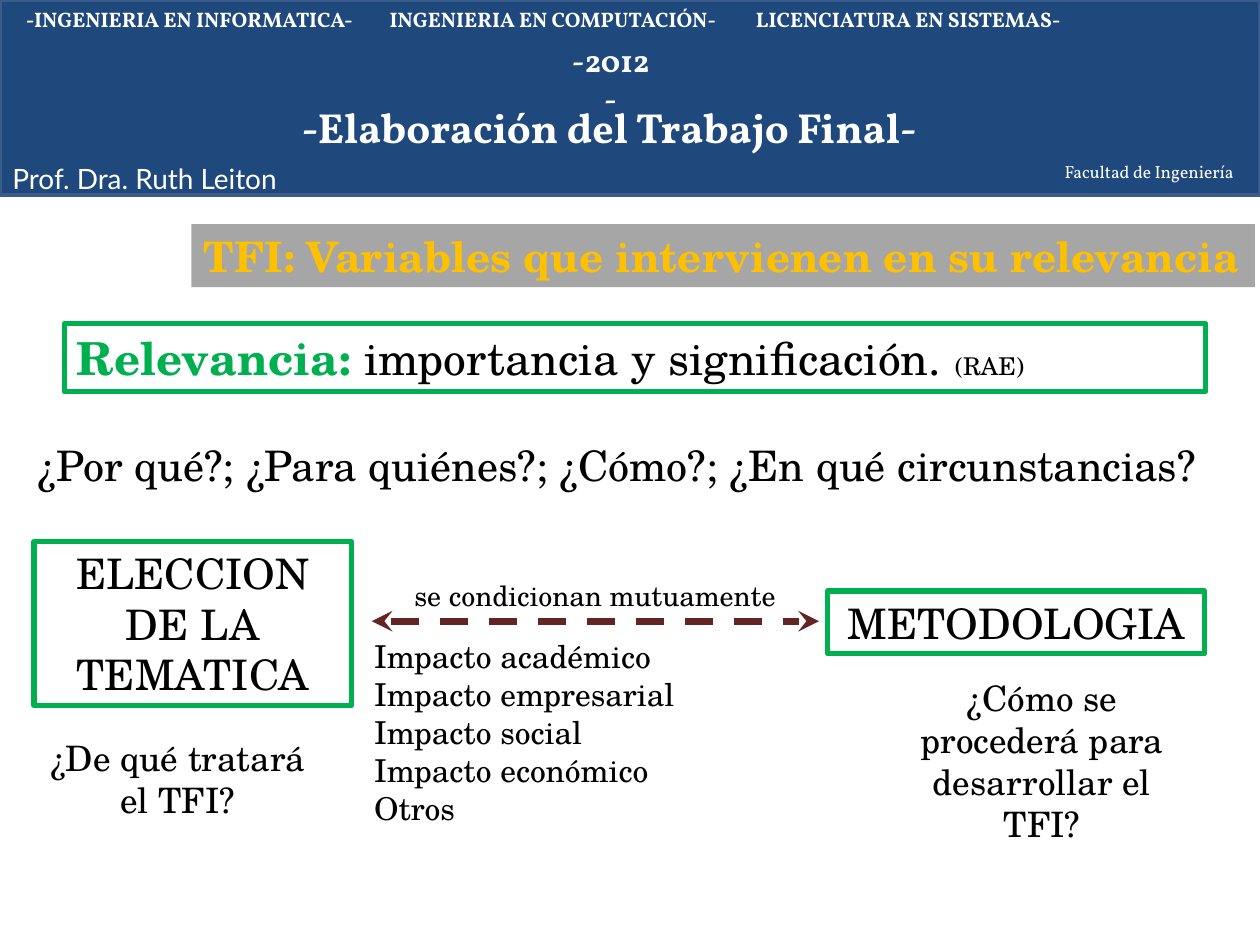
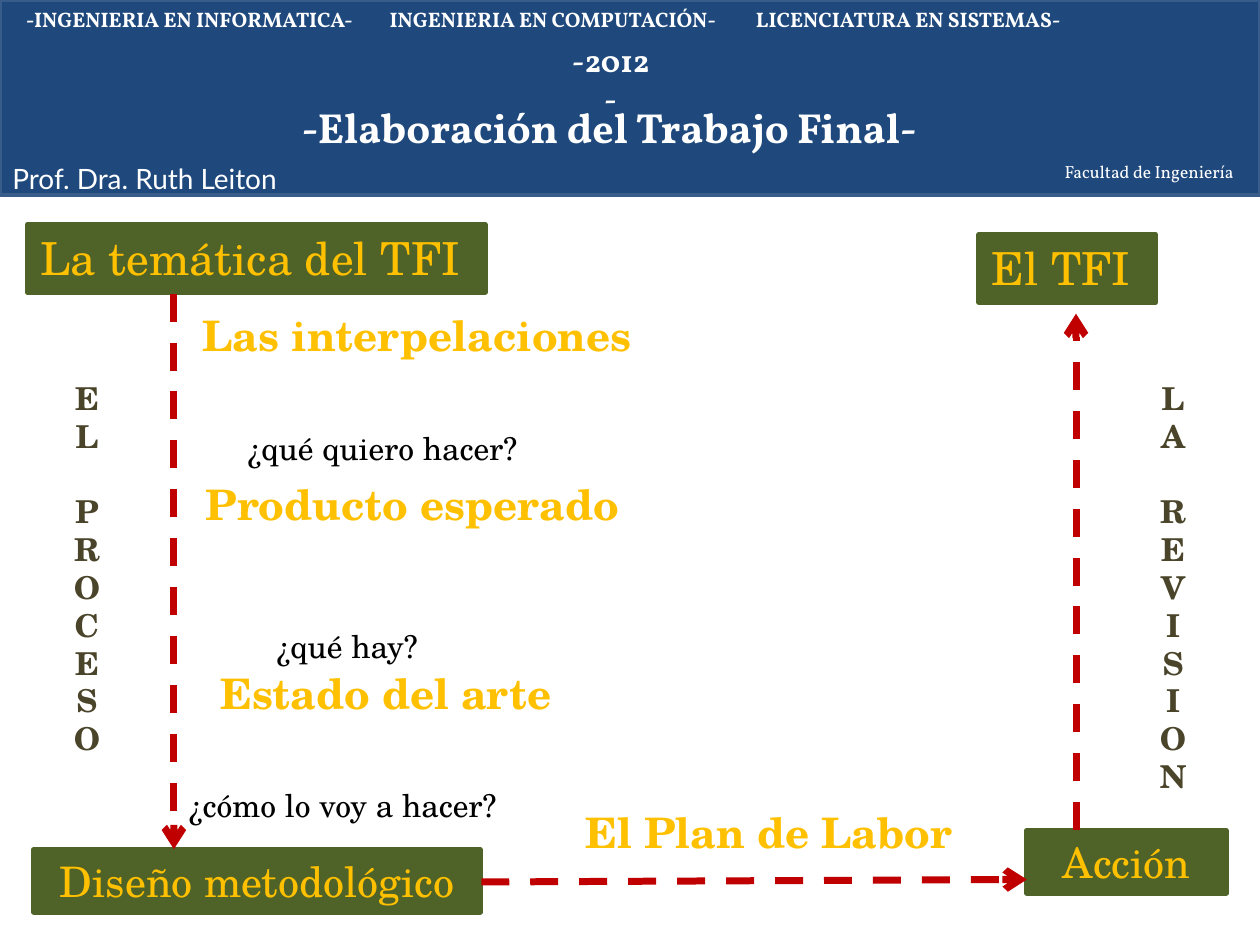
"""Build two slides on the relevance and the process of a final degree project."""
from dataclasses import dataclass, replace

from lxml.etree import SubElement
from pptx import Presentation
from pptx.dml.color import RGBColor
from pptx.enum.dml import MSO_LINE
from pptx.enum.shapes import MSO_CONNECTOR, MSO_SHAPE
from pptx.enum.text import MSO_ANCHOR, MSO_AUTO_SIZE, PP_ALIGN
from pptx.oxml.ns import qn
from pptx.util import Inches, Pt


@dataclass(frozen=True)
class Theme:
    white: str = "FFFFFF"
    black: str = "000000"
    navy: str = "1F497D"
    navy_edge: str = "385D8A"
    gray: str = "A6A6A6"
    gold: str = "FFC000"
    green: str = "00B050"
    olive: str = "4F6228"
    earth: str = "4A452A"
    maroon: str = "632523"
    red: str = "C00000"
    header_font: str = "Vollkorn"
    author_font: str = "Lato"
    body_font: str = "TeX Gyre Schola"
    faculty: int = 10
    degree: int = 12
    source: int = 14
    small: int = 16
    body: int = 18
    question: int = 20
    heading: int = 24
    topic: int = 26
    band_line: int = 2
    box_line: int = 3
    arrow_line: int = 4


@dataclass(frozen=True)
class Style:
    size: int
    color: str
    bold: bool = False
    font: str = Theme.body_font
    align: PP_ALIGN = PP_ALIGN.CENTER


theme = Theme()
LEFT = PP_ALIGN.LEFT
presentation = Presentation()
presentation.slide_width, presentation.slide_height = Inches(10), Inches(7.5)
COLUMN = presentation.slide_width / 100
ROW = presentation.slide_height / 75


def add_box(shapes, area, paragraphs, fill=None, line=None, line_width=theme.box_line, wrap=True):
    """Add a box at (column, row, columns, rows) with paragraphs of (text, style) runs."""
    left, top, width, height = area
    place = [round(length) for length in (left * COLUMN, top * ROW, width * COLUMN, height * ROW)]
    if fill or line:
        shape = shapes.add_shape(MSO_SHAPE.RECTANGLE, *place)
        shape.shadow.inherit = False
    else:
        shape = shapes.add_textbox(*place)
    if fill:
        shape.fill.solid()
        shape.fill.fore_color.rgb = RGBColor.from_string(fill)
    else:
        shape.fill.background()
    if line:
        shape.line.color.rgb = RGBColor.from_string(line)
        shape.line.width = Pt(line_width)
    else:
        shape.line.fill.background()
    frame = shape.text_frame
    frame.word_wrap = wrap
    frame.vertical_anchor = MSO_ANCHOR.TOP
    if paragraphs:
        frame.auto_size = MSO_AUTO_SIZE.SHAPE_TO_FIT_TEXT
    for index, runs in enumerate(paragraphs):
        paragraph = frame.add_paragraph() if index else frame.paragraphs[0]
        paragraph.alignment = runs[0][1].align
        for text, style in runs:
            run = paragraph.add_run()
            run.text = text
            run.font.size = Pt(style.size)
            run.font.bold = style.bold
            run.font.name = style.font
            run.font.color.rgb = RGBColor.from_string(style.color)
    return shape


def add_arrow(shapes, start, end, color, head=None, tail="arrow"):
    """Add a dashed arrow between two (column, row) points."""
    points = [round(length) for column, row in (start, end) for length in (column * COLUMN, row * ROW)]
    connector = shapes.add_connector(MSO_CONNECTOR.STRAIGHT, *points)
    connector.line.color.rgb = RGBColor.from_string(color)
    connector.line.width = Pt(theme.arrow_line)
    connector.line.dash_style = MSO_LINE.DASH
    outline = connector.line._get_or_add_ln()
    for tag, kind in (("a:headEnd", head), ("a:tailEnd", tail)):
        if kind:
            SubElement(outline, qn(tag), type=kind)
    SubElement(connector._element.spPr, qn("a:effectLst"))


faculty = Style(theme.faculty, theme.white, font=theme.header_font, align=LEFT)
author = Style(theme.small, theme.white, font=theme.author_font, align=LEFT)
degree = Style(theme.degree, theme.white, True, theme.header_font)
year = replace(degree, size=theme.body)
course = replace(degree, size=theme.heading)
stage = Style(theme.heading, theme.gold, True)
title = replace(stage, align=LEFT)
heading = Style(theme.heading, theme.black)
definition = Style(theme.topic, theme.black, align=LEFT)
term = replace(definition, color=theme.green, bold=True)
source = replace(definition, size=theme.source)
question = Style(theme.question, theme.black)
step_question = Style(theme.body, theme.black)
impact = replace(step_question, align=LEFT)
link_label = replace(impact, size=theme.small)
milestone = Style(theme.topic, theme.gold, align=LEFT)
action = Style(theme.heading, theme.gold)
side_letter = Style(theme.body, theme.earth, True)

header_texts = [
    ((83.5, 12.3, 16.5, 4.4), "Facultad de Ingeniería", faculty, True),
    ((15.3, 7.6, 66.1, 5), "-Elaboración del Trabajo Final-", course, True),
    ((0, 12.3, 24.8, 6.4), "Prof. Dra. Ruth Leiton", author, True),
    ((0.4, 0, 29.3, 3), "-INGENIERIA EN INFORMATICA-", degree, False),
    ((29.2, 0, 29.4, 3), "INGENIERIA EN COMPUTACIÓN-", degree, False),
    ((57.9, 0, 28.4, 3), "LICENCIATURA EN SISTEMAS-", degree, True),
    ((43.9, 2.8, 9.1, 4), "-2012-", year, True),
]
slides = []
for number in range(2):
    slide = presentation.slides.add_slide(presentation.slide_layouts[6])
    header = slide.shapes.add_group_shape().shapes
    add_box(header, (0, 0, 100, 15.5), [], theme.navy, theme.navy_edge, theme.band_line)
    for area, text, style, wrap in header_texts:
        add_box(header, area, [[(text, style)]], wrap=wrap)
    slides.append(slide)
relevance, process = [slide.shapes for slide in slides]

add_box(relevance, (15.2, 17.8, 84.4, 5),
        [[("TFI: Variables que intervienen en su relevancia", title)]], theme.gray, wrap=False)
add_box(relevance, (5.1, 25.7, 90.6, 5.4),
        [[("Relevancia: ", term), ("importancia y significación. ", definition), ("(RAE)", source)]],
        line=theme.green)
for area, text, style, line in [
    ((2, 34.4, 96.1, 5), "¿Por qué?; ¿Para quiénes?; ¿Cómo?; ¿En qué circunstancias?",
     replace(heading, align=LEFT), None),
    ((2.7, 43, 25.2, 13), "ELECCION DE LA TEMATICA", heading, theme.green),
    ((65.7, 46.9, 29.9, 5), "METODOLOGIA", heading, theme.green),
    ((2.7, 58, 22.8, 7.7), "¿De qué tratará el TFI?", question, None),
    ((71.3, 53.2, 22.8, 14.4), "¿Cómo se procederá para desarrollar el TFI?", question, None),
    ((31.9, 45.4, 34.6, 3.7), "se condicionan mutuamente", link_label, None),
]:
    add_box(relevance, area, [[(text, style)]], line=line)
add_arrow(relevance, (29.5, 49.3), (65, 49.3), theme.maroon, "stealth", "stealth")
impacts = ["Impacto académico", "Impacto empresarial", "Impacto social", "Impacto económico", "Otros"]
add_box(relevance, (28.7, 50.1, 36.2, 16), [[(text, impact)] for text in impacts])

for area, text, style, wrap in [
    ((2.2, 17.8, 36.3, 5.4), "La temática del TFI", milestone, False),
    ((77.7, 18.6, 14, 5.4), "El TFI", milestone, False),
    ((2.7, 67.4, 35.4, 5), "Diseño metodológico", action, True),
    ((81.5, 65.9, 15.8, 5), "Acción", action, True),
]:
    add_box(process, area, [[(text, style)]], theme.olive, theme.olive, wrap=wrap)
for area, text, style in [
    ((14.6, 24.1, 37, 5), "Las interpelaciones", stage),
    ((14.6, 37.5, 36.2, 5), "Producto esperado", stage),
    ((15.3, 52.5, 30.7, 5), "Estado del arte", stage),
    ((42.9, 63.5, 36.2, 5), "El Plan de Labor", stage),
    ((18.6, 33.6, 23.5, 4), "¿qué quiero hacer?", step_question),
    ((20.9, 49.3, 13.3, 4), "¿qué hay?", step_question),
    ((13.9, 61.9, 26.6, 4), "¿cómo lo voy a hacer?", step_question),
]:
    add_box(process, area, [[(text, style)]], wrap=style is stage)
for start, end in [((13.8, 23.3), (13.8, 67.4)), ((38.2, 70), (81.5, 69.8)), ((85.4, 65.9), (85.4, 24.9))]:
    add_arrow(process, start, end, theme.red)
for left, height, article, noun in [(0, 31, "EL", "PROCESO"), (86.2, 34, "LA", "REVISION")]:
    letters = [[(letter, side_letter)] for letter in article + noun]
    side = add_box(process, (left, 29.6, 13.8, height), letters)
    side.text_frame.paragraphs[len(article)].space_before = Pt(21.6)

presentation.save("out.pptx")
